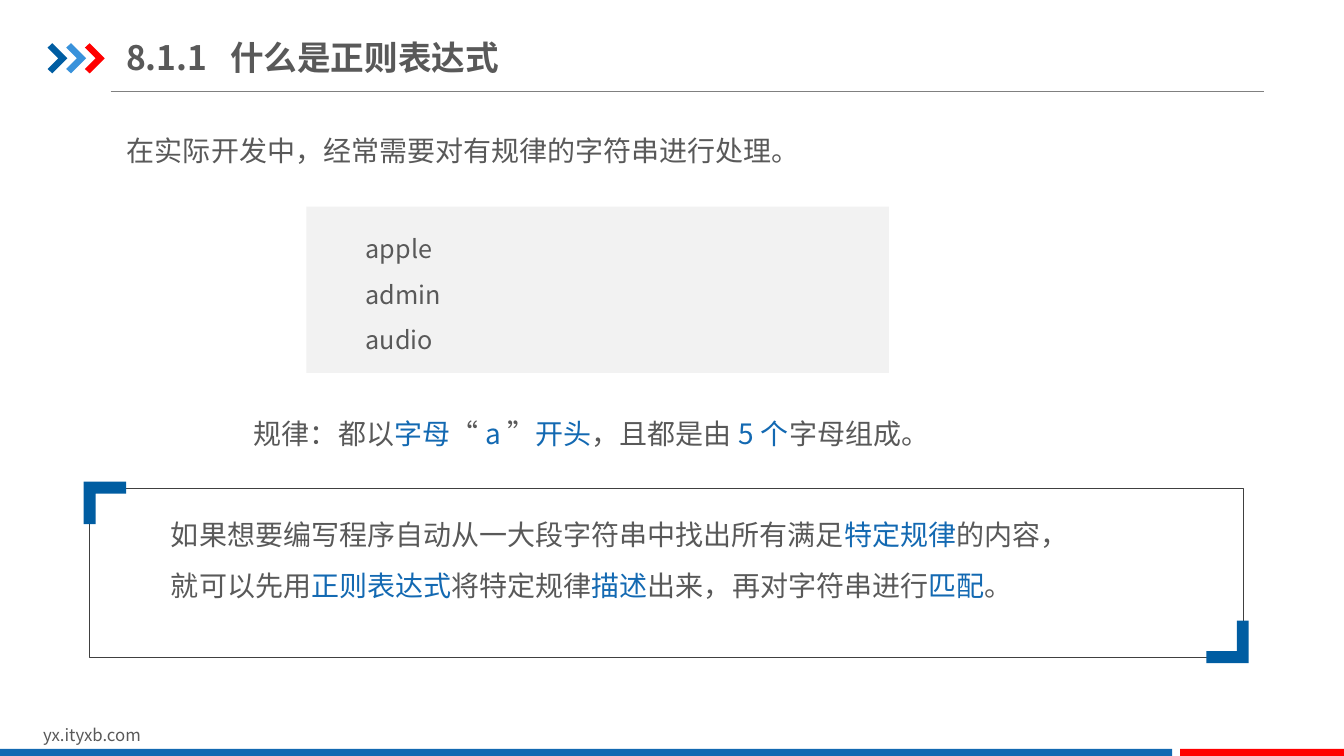
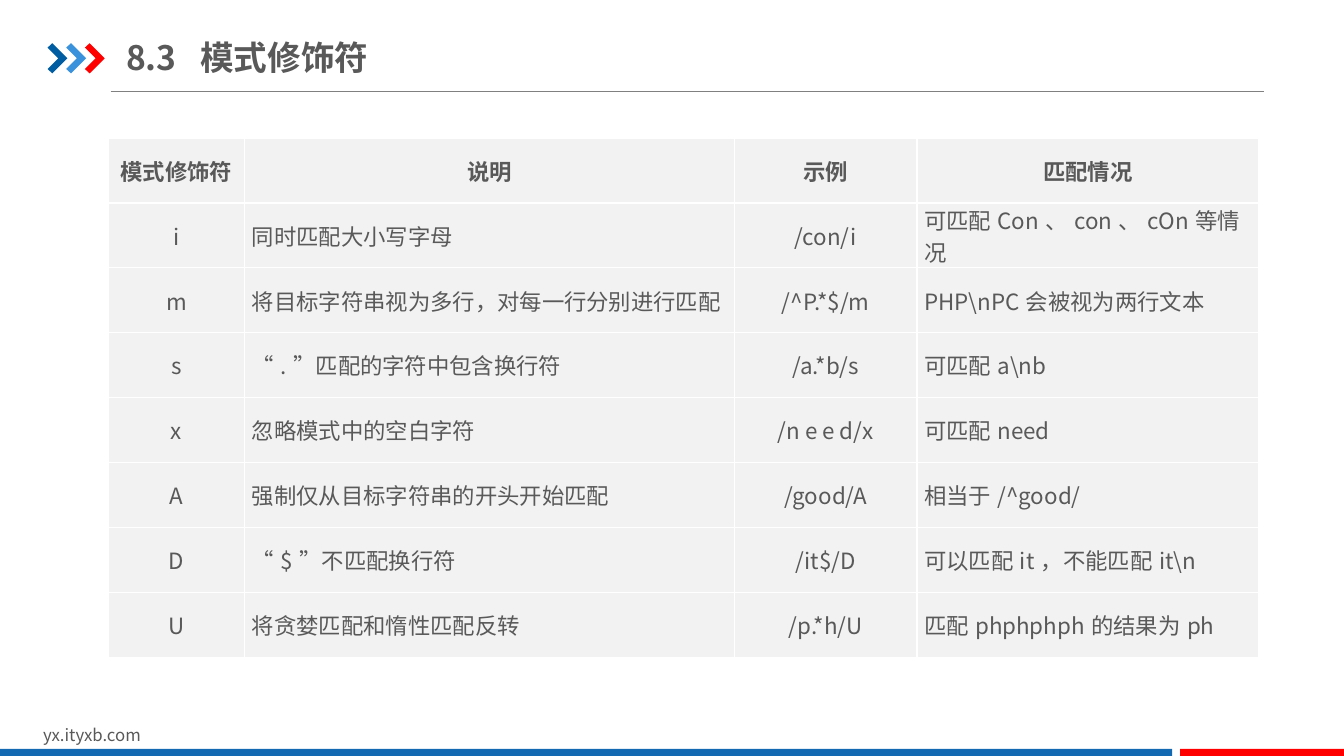
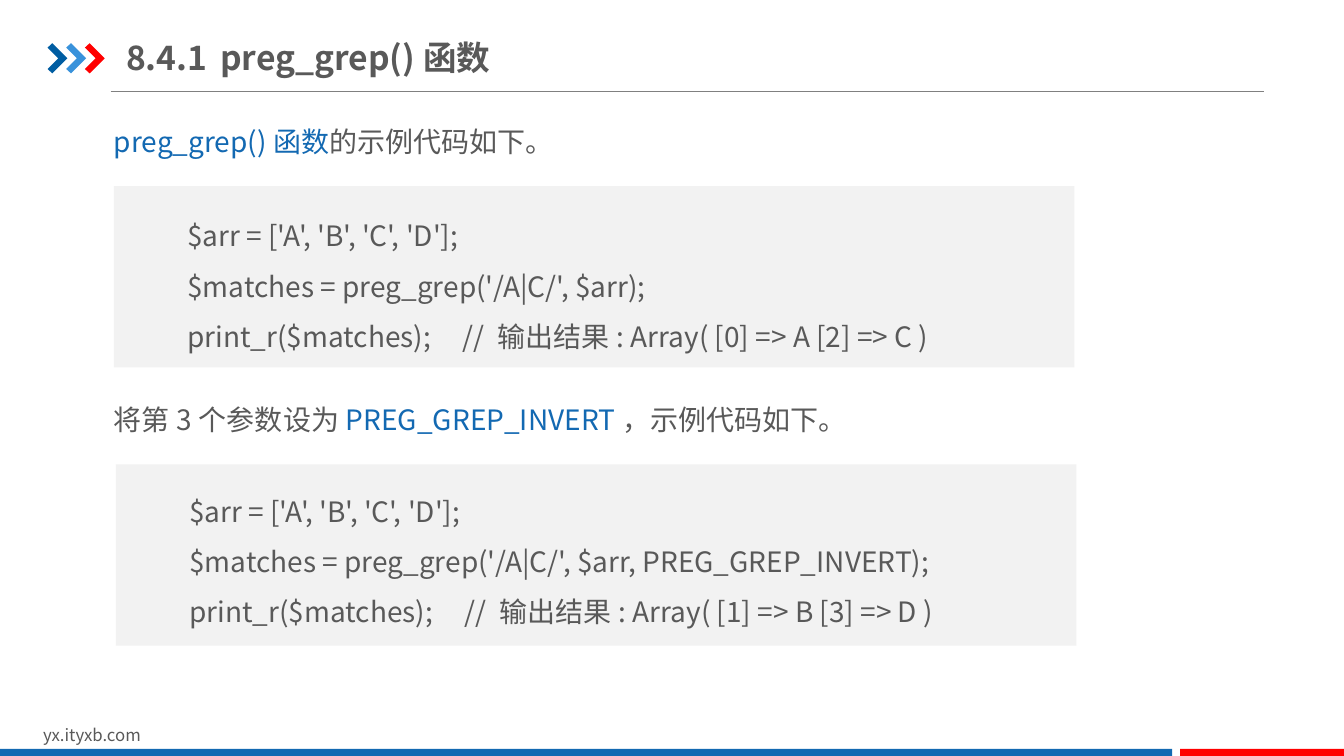
from lxml.etree import SubElement
from pptx import Presentation
from pptx.dml.color import RGBColor
from pptx.enum.shapes import MSO_CONNECTOR, MSO_SHAPE
from pptx.enum.text import MSO_ANCHOR as Anchor, MSO_AUTO_SIZE, PP_ALIGN as Align
from pptx.oxml.ns import qn
from pptx.util import Cm, Pt

FONT = "Noto Sans CJK SC"
TEXT, ACCENT, NAVY, SKY, RED = "595959", "1369B2", "005DA2", "3992DB", "FF0000"
PANEL, WHITE, RULE, FRAME = "F2F2F2", "FFFFFF", "808080", "404040"
SLIDE_WIDTH, SLIDE_HEIGHT = 33.87, 19.05
TITLE_BOX = (3.18, 0.74, 10.82, 1.4)

MODIFIERS = [
    ("模式修饰符", "说明", "示例", "匹配情况"),
    ("i", "同时匹配大小写字母", "/con/i", "可匹配Con、con、cOn等情况"),
    ("m", "将目标字符串视为多行，对每一行分别进行匹配", "/^P.*$/m", "PHP\\nPC会被视为两行文本"),
    ("s", "“.”匹配的字符中包含换行符", "/a.*b/s", "可匹配a\\nb"),
    ("x", "忽略模式中的空白字符", "/n e e d/x", "可匹配need"),
    ("A", "强制仅从目标字符串的开头开始匹配", "/good/A", "相当于/^good/"),
    ("D", "“$”不匹配换行符", "/it$/D", "可以匹配it，不能匹配it\\n"),
    ("U", "将贪婪匹配和惰性匹配反转", "/p.*h/U", "匹配phphphph的结果为ph"),
]


def color(value):
    return RGBColor.from_string(value)


def lengths(box):
    return [Cm(value) for value in box]


def format_paragraph(paragraph, size, bold=False):
    font = paragraph.font
    font.size, font.bold, font.name = Pt(size), bold, FONT
    font.color.rgb = color(TEXT)
    defaults = paragraph._p.pPr.find(qn("a:defRPr"))
    east_asian = defaults.makeelement(qn("a:ea"), {"typeface": FONT})
    defaults.find(qn("a:latin")).addnext(east_asian)


def write_lines(frame, lines, size, spacing=None):
    """Each line holds segments that are plain and accented in turn."""
    frame.word_wrap = True
    for index, segments in enumerate(lines):
        paragraph = frame.add_paragraph() if index else frame.paragraphs[0]
        paragraph.alignment = Align.LEFT
        if spacing:
            paragraph.line_spacing = spacing
        format_paragraph(paragraph, size)
        for position, text in enumerate(segments):
            if text:
                run = paragraph.add_run()
                run.text = text
                if position % 2:
                    run.font.color.rgb = color(ACCENT)


def add_text(slide, box, lines, size=20, spacing=None):
    shape = slide.shapes.add_textbox(*lengths(box))
    write_lines(shape.text_frame, lines, size, spacing)


def paint(shape, fill):
    shape.shadow.inherit = False
    shape.fill.solid()
    shape.fill.fore_color.rgb = color(fill)
    shape.line.fill.background()


def add_rectangle(slide, box, fill):
    shape = slide.shapes.add_shape(MSO_SHAPE.RECTANGLE, *lengths(box))
    paint(shape, fill)
    return shape


def add_polygon(shapes, points, fill):
    start, *others = [lengths(point) for point in points]
    builder = shapes.build_freeform(*start, scale=1.0)
    builder.add_line_segments(others, close=True)
    paint(builder.convert_to_shape(), fill)


def add_chevrons(slide, left, top):
    outline = [(0, 0.11), (0.12, 0), (0.5, 0.38), (0.12, 0.76), (0, 0.65), (0.27, 0.38)]
    group = slide.shapes.add_group_shape()
    for index, fill in enumerate((NAVY, SKY, RED)):
        points = [(left + 0.47 * index + x, top + y) for x, y in outline]
        add_polygon(group.shapes, points, fill)


def furnish_layout(layout, slide):
    """Draw the shared parts on the slide, then move them to its layout."""
    title = layout.placeholders[0]
    for placeholder in list(layout.placeholders)[1:]:
        layout.shapes.element.remove(placeholder.element)
    title.left, title.top, title.width, title.height = lengths(TITLE_BOX)

    rule = slide.shapes.add_connector(MSO_CONNECTOR.STRAIGHT, *lengths((2.79, 2.31, 31.85, 2.31)))
    rule.line.color.rgb = color(RULE)
    rule.line.width = Pt(0.75)
    SubElement(rule.element.spPr, qn("a:effectLst"))
    add_chevrons(slide, 1.2, 1.09)
    add_text(slide, (0.84, 18.14, 8.08, 0.76), [("yx.ityxb.com",)], 12)
    bar_top, red_left = 18.87, 29.74
    bar_height = SLIDE_HEIGHT - bar_top
    add_rectangle(slide, (0, bar_top, red_left - 0.2, bar_height), ACCENT)
    add_rectangle(slide, (red_left, bar_top, SLIDE_WIDTH - red_left, bar_height), RED)
    for shape in list(slide.shapes):
        if not shape.is_placeholder:
            layout.shapes.element.append(shape.element)


def set_title(slide, number, text, text_left):
    title = slide.shapes.title
    title.left, title.top, title.width, title.height = lengths(TITLE_BOX)
    frame = title.text_frame
    frame.auto_size = MSO_AUTO_SIZE.NONE
    frame.vertical_anchor = Anchor.MIDDLE
    frame.margin_left = frame.margin_right = 0
    paragraph = frame.paragraphs[0]
    paragraph.text = f"{number}\t{text}"
    paragraph.alignment = Align.LEFT
    tabs = SubElement(paragraph._p.get_or_add_pPr(), qn("a:tabLst"))
    SubElement(tabs, qn("a:tab"), pos=str(Cm(text_left)), algn="l")
    format_paragraph(paragraph, 24, bold=True)


def add_code_panel(slide, box, code, size, indent, top_margin):
    panel = add_rectangle(slide, box, PANEL)
    frame = panel.text_frame
    frame.vertical_anchor = Anchor.TOP
    frame.margin_left, frame.margin_top = Cm(indent), Cm(top_margin)
    write_lines(frame, [(line,) for line in code], size, 1.5)


def add_cornered_note(slide, box, lines):
    left, top, width, height = box
    frame = slide.shapes.add_shape(MSO_SHAPE.RECTANGLE, *lengths(box))
    frame.shadow.inherit = False
    frame.fill.background()
    frame.line.color.rgb = color(FRAME)
    frame.line.width = Pt(0.25)
    outset, arm, thickness = 0.15, 1.07, 0.3
    corner = [(0, 0), (arm, 0), (arm, thickness), (thickness, thickness), (thickness, arm), (0, arm)]
    for x, y, sign in ((left, top, 1), (left + width, top + height, -1)):
        points = [(x + sign * (dx - outset), y + sign * (dy - outset)) for dx, dy in corner]
        add_polygon(slide.shapes, points, NAVY)
    add_text(slide, (left + 1.8, top + 0.21, width - 2.5, 2.8), lines, spacing=1.5)


def format_cell(cell, text, centered, bold):
    cell.margin_left = cell.margin_right = Cm(0.18)
    cell.margin_top = cell.margin_bottom = 0
    cell.vertical_anchor = Anchor.MIDDLE
    properties = cell._tc.get_or_add_tcPr()
    for side in ("lnL", "lnR", "lnT", "lnB"):
        border = SubElement(properties, qn(f"a:{side}"), w=str(Pt(1)))
        SubElement(SubElement(border, qn("a:solidFill")), qn("a:srgbClr"), val=WHITE)
    cell.fill.solid()
    cell.fill.fore_color.rgb = color(PANEL)
    paragraph = cell.text_frame.paragraphs[0]
    paragraph.text = text
    paragraph.alignment = Align.CENTER if centered else Align.LEFT
    format_paragraph(paragraph, 16, bold)


def add_modifier_table(slide, left, top, widths, height):
    box = lengths((left, top, sum(widths), height))
    table = slide.shapes.add_table(len(MODIFIERS), len(widths), *box).table
    table.first_row = table.horz_banding = False
    for column, width in zip(table.columns, widths):
        column.width = Cm(width)
    for row_index, texts in enumerate(MODIFIERS):
        for column_index, text in enumerate(texts):
            header = row_index == 0
            centered = header or column_index in (0, 2)
            format_cell(table.cell(row_index, column_index), text, centered, header)


def fill_definition(slide):
    set_title(slide, "8.1.1", "什么是正则表达式", 2.62)
    add_text(slide, (2.95, 3.23, 21.39, 1.12), [("在实际开发中，经常需要对有规律的字符串进行处理。",)])
    add_code_panel(slide, (7.72, 5.21, 14.68, 4.19), ("apple", "admin", "audio"), 18, 1.5, 0.3)
    pattern = ("规律：都以", "字母", "“", "a", "”", "开头", "，且都是由", "5个", "字母组成。")
    add_text(slide, (6.15, 9.94, 20, 1.5), [pattern], spacing=1.5)
    add_cornered_note(slide, (2.26, 12.29, 29.06, 4.27), [
        ("如果想要编写程序自动从一大段字符串中找出所有满足", "特定规律", "的内容，"),
        ("就可以先用", "正则表达式", "将特定规律", "描述", "出来，再对字符串进行", "匹配", "。"),
    ])


def fill_modifiers(slide):
    set_title(slide, "8.3", "模式修饰符", 1.87)
    add_modifier_table(slide, 2.72, 3.48, (3.45, 12.34, 4.6, 8.61), 13.08)


def fill_preg_grep(slide):
    set_title(slide, "8.4.1", "preg_grep()函数", 2.37)
    examples = [
        (2.87, 3.02, 0.4, ("", "preg_grep()函数", "的示例代码如下。"),
         "", "[0] => A [2] => C"),
        (2.92, 10.03, 0.33, ("将第3个参数设为", "PREG_GREP_INVERT", "，示例代码如下。"),
         ", PREG_GREP_INVERT", "[1] => B [3] => D"),
    ]
    for left, top, margin, lead, argument, result in examples:
        add_text(slide, (2.62, top, 28, 1.12), [lead])
        code = (
            "$arr = ['A', 'B', 'C', 'D'];",
            f"$matches = preg_grep('/A|C/', $arr{argument});",
            f"print_r($matches);     // 输出结果: Array( {result} )",
        )
        add_code_panel(slide, (left, top + 1.67, 24.21, 4.57), code, 20, 1.85, margin)


def main():
    presentation = Presentation()
    presentation.slide_width, presentation.slide_height = lengths((SLIDE_WIDTH, SLIDE_HEIGHT))
    layout = presentation.slide_layouts[5]
    for index, fill_slide in enumerate((fill_definition, fill_modifiers, fill_preg_grep)):
        slide = presentation.slides.add_slide(layout)
        if index == 0:
            furnish_layout(layout, slide)
        fill_slide(slide)
    presentation.save("out.pptx")


if __name__ == "__main__":
    main()
